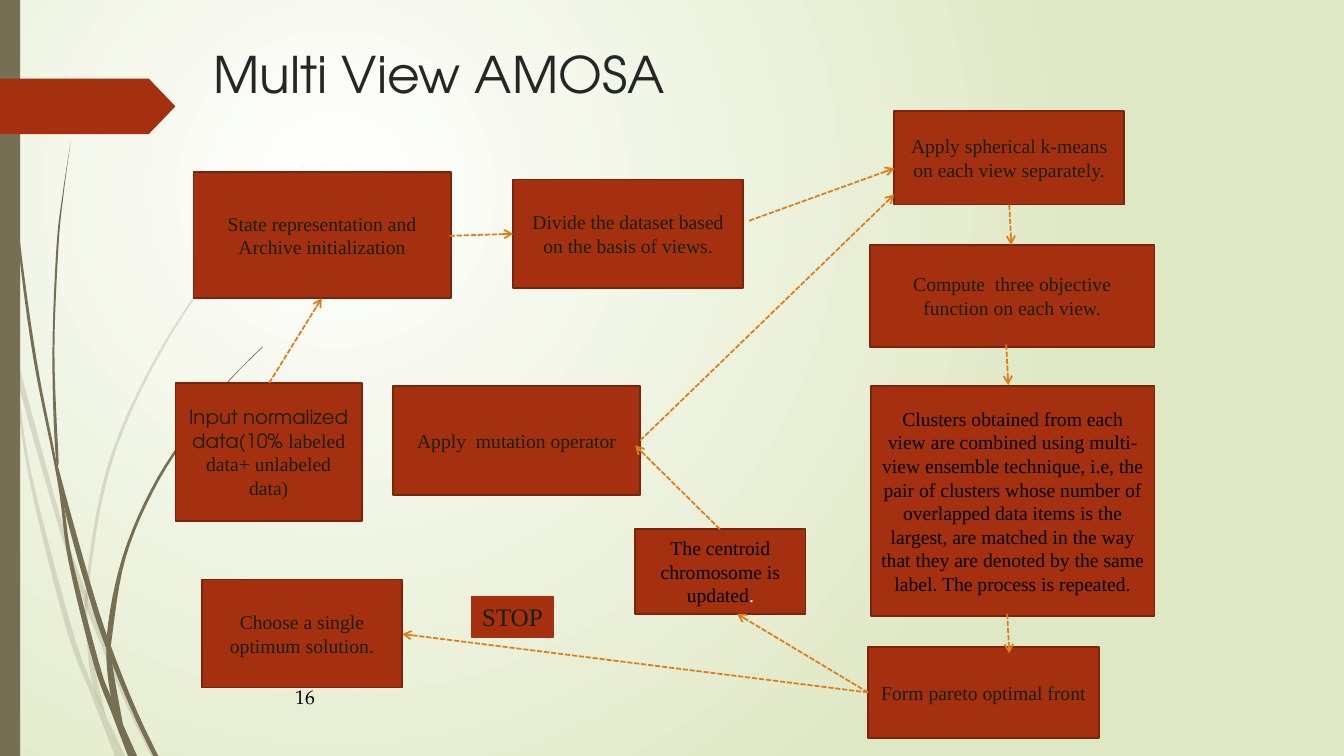
from lxml import etree
from pptx import Presentation
from pptx import util as u
from pptx.dml.color import RGBColor
from pptx.enum import dml, shapes, text
from pptx.oxml.ns import qn

COLORS = dict(rust="A53010", edge="7A240C", arrow="DE7E18", olive="766F54", ink="1A1F0D",
              black="000000", white="FFFFFF", title="262626", pale="DFE8C4")
SERIF, SANS, PAGE = "Times New Roman", "TeX Gyre Adventor", "TeX Gyre Pagella"

# Content; all measures in inches, turned into Cm by size()
# Boxes: (left, top, width, height), paragraphs of (text, font, colour) runs
BOXES = [
    ((1.92, 1.71, 2.55, 1.25), [[("State representation and", SERIF, "ink")],
                                [("Archive initialization", SERIF, "ink")]]),
    ((8.87, 1.1, 2.28, 0.93), [[("Apply spherical k-means on each view separately.", SERIF, "ink")]]),
    ((8.63, 2.43, 2.82, 1.01), [[("Compute  three objective function on each view.", SERIF, "ink")]]),
    ((8.61, 6.42, 2.29, 0.9), [[("Form pareto optimal front", SERIF, "ink")]]),
    ((2, 5.75, 1.99, 1.07), [[("Choose a single optimum solution.", SERIF, "ink")]]),
    ((3.9, 3.83, 2.45, 1.08), [[("Apply  mutation operator", SERIF, "ink")]]),
    ((5.09, 1.78, 2.28, 1.08), [[("Divide the dataset based on the basis of views.", SERIF, "ink")]]),
    ((1.74, 3.8, 1.85, 1.37), [[("Input normalized data(10% ", SANS, "ink"),
                                ("labeled data+ unlabeled data)", SERIF, "ink")]]),
    ((8.64, 3.83, 2.81, 2.28), [[(
        "Clusters obtained from each view are combined using multi-view ensemble technique, "
        "i.e, the pair of clusters whose number of overlapped data items is the largest, are "
        "matched in the way that they are denoted by the same label. The process is repeated.",
        SERIF, "black")]]),
    ((6.3, 5.25, 1.69, 0.84), [[("The centroid chromosome is updated", SERIF, "black"),
                                (".", SERIF, "white")]]),
]
ARROWS = [
    ((4.46, 2.34), (5.09, 2.32)), ((7.43, 2.19), (8.87, 1.67)), ((10.01, 2.03), (10.03, 2.43)),
    ((8.61, 6.87), (3.99, 6.29)), ((8.61, 6.87), (7.31, 6.09)), ((6.35, 4.37), (8.87, 1.93)),
    ((2.67, 3.8), (3.19, 2.96)), ((9.98, 3.42), (10, 3.82)), ((9.99, 6.09), (10.01, 6.48)),
    ((7.14, 5.25), (6.3, 4.42)),
]
# Grass blades: opacity in percent, left edge, right edge
BLADES = [
    (20, [(0, 2.99), (.11, 3.5), (.28, 4.7), (.65, 6.21), (.92, 6.93), (1.14, 7.5)],
         [(0, 2.82), (.09, 3.22), (.17, 3.76), (.31, 4.69), (.7, 6.19), (.93, 6.83), (1.24, 7.5)]),
    (20, [(.14, 3.45), (.17, 3.76), (.58, 5.22), (.84, 5.99), (1.23, 6.94), (1.5, 7.5)],
         [(.14, 3.45), (.62, 5.2), (.85, 5.86), (.92, 6.07), (1.27, 6.92), (1.55, 7.5)]),
    (20, [(3.12, 1.53), (2.68, 1.97), (2.28, 2.44), (1.58, 3.48), (1.07, 4.61), (.85, 5.84),
          (.87, 6.46), (.93, 6.83), (1.05, 7.11)],
         [(3.12, 1.53), (2.68, 1.98), (2.29, 2.45), (1.6, 3.49), (1.1, 4.62), (.88, 5.84),
          (.91, 6.46), (1.05, 7.11)]),
    (100, [(.03, 0), (.04, .48), (.07, 1.1), (.17, 2.33), (.33, 3.55), (.57, 4.77), (.68, 5.57),
           (.93, 6.59), (1.11, 7.08), (1.27, 7.5)],
          [(.04, 0), (.05, .48), (.08, 1.09), (.19, 2.32), (.36, 3.55), (.55, 4.53), (.64, 5.05),
           (.72, 5.56), (.98, 6.57), (1.1, 6.91), (1.36, 7.5)]),
    (100, [(.7, 1.41), (.62, 1.93), (.56, 2.45), (.52, 3.49), (.55, 4.49), (.64, 5.05),
           (.88, 5.92), (1.06, 6.45), (1.32, 7.08), (1.52, 7.5)],
          [(.7, 1.41), (.63, 1.93), (.58, 2.45), (.54, 3.49), (.58, 4.53), (.6, 4.72),
           (.93, 5.9), (1.13, 6.49), (1.36, 7.06), (1.57, 7.5)]),
    (100, [(2.6, 3.44), (2.31, 3.73), (2.04, 4.05), (1.56, 4.74), (1.22, 5.51), (1.06, 6.31),
           (1.1, 6.91), (1.22, 7.19)],
          [(2.61, 3.44), (2.31, 3.74), (2.05, 4.06), (1.58, 4.76), (1.25, 5.52), (1.11, 6.33),
           (1.11, 6.56), (1.22, 7.19)]),
]


def size(inches):
    return u.Cm(inches * 2.54)


def rgb(name):
    return RGBColor.from_string(COLORS[name])


def smooth(pts, steps=6):
    """Points of a Catmull-Rom curve through pts."""
    ends = [pts[0], *pts, pts[-1]]
    curve = [pts[0]]
    for a, b, c, d in zip(ends, ends[1:], ends[2:], ends[3:]):
        for t in (i / steps for i in range(1, steps + 1)):
            curve.append(tuple(
                (2 * q + (r - p) * t + (2 * p - 5 * q + 4 * r - w) * t ** 2
                 + (3 * q - p - 3 * r + w) * t ** 3) / 2 for p, q, r, w in zip(a, b, c, d)))
    return curve


def paint(sp, fill, line=None, width=1.25):
    sp.shadow.inherit = False
    sp.fill.solid()
    sp.fill.fore_color.rgb = rgb(fill)
    if line:
        sp.line.color.rgb = rgb(line)
        sp.line.width = u.Pt(width)
    else:
        sp.line.fill.background()


def add_shape(kind, at, *look):
    sp = s.shapes.add_shape(kind, *map(size, at))
    paint(sp, *look)
    return sp


def style(r, font, pt, color):
    r.font.name, r.font.size = font, u.Pt(pt)
    r.font.color.rgb = rgb(color)


def add_label(at, words, font, pt, color, anchor):
    tf = s.shapes.add_textbox(*map(size, at)).text_frame
    tf.word_wrap = True
    tf.vertical_anchor = anchor
    tf.text = words
    style(tf.paragraphs[0].runs[0], font, pt, color)


prs = Presentation()
prs.slide_width, prs.slide_height = size(13.33), size(7.5)
s = prs.slides.add_slide(prs.slide_layouts[6])
RECT = shapes.MSO_SHAPE.RECTANGLE
MIDDLE = text.MSO_ANCHOR.MIDDLE

# Background: radial gradient
fill = s.background.fill
fill.gradient()
for stop, color in zip(fill.gradient_stops, ("white", "pale")):
    stop.color.rgb = rgb(color)
grad = s._element.find(".//" + qn("a:gradFill"))
grad.remove(grad.find(qn("a:lin")))
radial = etree.SubElement(grad, qn("a:path"), {"path": "circle"})
etree.SubElement(radial, qn("a:fillToRect"), l="50000", t="50000", r="100000", b="100000")

# Grass blades, side bar and tag
for opacity, left, right in BLADES:
    outline = [(size(x), size(y)) for x, y in smooth(left) + smooth(right)[::-1]]
    fb = s.shapes.build_freeform(*outline[0], scale=1.0)
    fb.add_line_segments(outline[1:], close=True)
    sp = fb.convert_to_shape()
    paint(sp, "olive")
    if opacity < 100:
        clr = sp._element.spPr.find(".//" + qn("a:srgbClr"))
        etree.SubElement(clr, qn("a:alpha"), val=str(opacity * 1000))
add_shape(RECT, (0, 0, 0.2, 7.5), "olive")
tag = add_shape(shapes.MSO_SHAPE.PENTAGON, (0, 0.78, 1.74, 0.55), "rust")
tag.adjustments[0] = 0.48

# Title and slide number
add_label((2.02, 0.38, 9, 1.25), "Multi View AMOSA", SANS, 36, "title", text.MSO_ANCHOR.TOP)
add_label((2.83, 6.71, 8.33, 0.4), "16", PAGE, 14, "black", MIDDLE)

# Flow boxes
for at, paragraphs in BOXES:
    tf = add_shape(RECT, at, "rust", "edge").text_frame
    tf.word_wrap = True
    tf.vertical_anchor = MIDDLE
    for i, runs in enumerate(paragraphs):
        p = tf.add_paragraph() if i else tf.paragraphs[0]
        p.alignment = text.PP_ALIGN.CENTER
        for words, font, color in runs:
            r = p.add_run()
            r.text = words
            style(r, font, 14, color)

# Stop label
tf = add_shape(RECT, (4.68, 5.92, 0.81, 0.4), "rust", "rust", 0.75).text_frame
tf.word_wrap = False
tf.auto_size = text.MSO_AUTO_SIZE.SHAPE_TO_FIT_TEXT
tf.vertical_anchor = text.MSO_ANCHOR.TOP
tf.text = "STOP"
tf.paragraphs[0].alignment = text.PP_ALIGN.LEFT
style(tf.paragraphs[0].runs[0], SERIF, 18, "ink")

# Arrows
for start, end in ARROWS:
    cx = s.shapes.add_connector(shapes.MSO_CONNECTOR.STRAIGHT, *map(size, start + end))
    cx.line.color.rgb = rgb("arrow")
    cx.line.width = u.Pt(1.25)
    cx.line.dash_style = dml.MSO_LINE.SQUARE_DOT
    etree.SubElement(cx.line._get_or_add_ln(), qn("a:tailEnd"), type="arrow")
    etree.SubElement(cx._element.spPr, qn("a:effectLst"))

prs.save("out.pptx")
